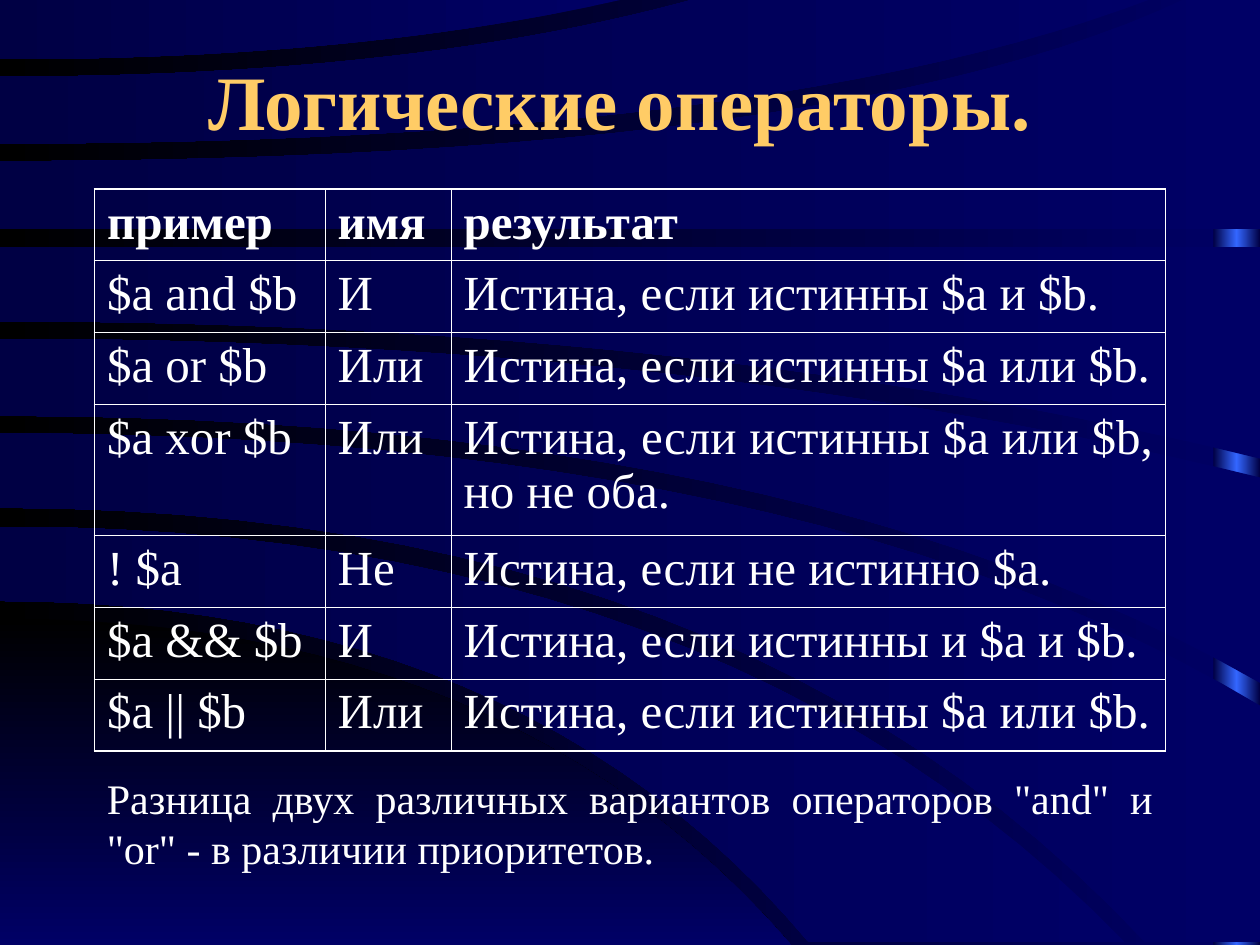
from copy import deepcopy
from lxml.etree import SubElement
from pptx import Presentation
from pptx.dml.color import RGBColor
from pptx.enum.shapes import MSO_SHAPE
from pptx.enum.text import MSO_ANCHOR, PP_ALIGN
from pptx.oxml.ns import qn
from pptx.util import Inches, Pt

NAVY = RGBColor(0x00, 0x00, 0x66)
DARK_NAVY = RGBColor(0x00, 0x00, 0x44)
BLACK = RGBColor(0x00, 0x00, 0x00)
BLUE = RGBColor(0x33, 0x66, 0xFF)
GOLD = RGBColor(0xFF, 0xCC, 0x66)
WHITE = RGBColor(0xFF, 0xFF, 0xFF)
FONT = "Times New Roman"


def set_gradient(fill, start, end, angle=180):
    fill.gradient()
    fill.gradient_angle = angle
    for stop, color in zip(fill.gradient_stops, (start, end)):
        stop.color.rgb = color


def add_text(para, text, size, color, align, bold=False):
    para.alignment = align
    span = para.add_run()
    span.text = text
    span.font.name = FONT
    span.font.size = Pt(size)
    span.font.bold = bold
    span.font.color.rgb = color


deck = Presentation()
deck.slide_width, deck.slide_height = Inches(10), Inches(7.5)
page = deck.slides.add_slide(deck.slide_layouts[5])
set_gradient(page.background.fill, NAVY, BLACK)

# Backdrop, kept behind the title
backdrop = page.shapes.add_group_shape()
page.shapes.element.insert(2, backdrop.element)

# Shining strip on the right edge: a third stop goes in the middle
strip = backdrop.shapes.add_shape(
    MSO_SHAPE.RECTANGLE, Inches(9.63), 0, Inches(0.37), Inches(7.5))
strip.shadow.inherit = False
strip.line.fill.background()
set_gradient(strip.fill, DARK_NAVY, DARK_NAVY)
first_stop = strip.element.spPr.find(".//" + qn("a:gs"))
first_stop.addnext(deepcopy(first_stop))
middle_stop = strip.fill.gradient_stops[1]
middle_stop.position = 0.5
middle_stop.color.rgb = BLUE

# Bands: upper edge, right corner if any, lower edge.
# An edge leaves the left side level: start y, bend x, end x, end y.
CORNER = ((4.91, 4.05, 6.28, 7.5), [], (7.5, 3, 6.28, 7.5))
BANDS = [
    CORNER,
    ((4.18, 5.74, 8.93, 7.48), [], (4.77, 4.15, 6.42, 7.48)),
    ((3.44, 6.4, 10, 5.6), [(10, 7.48)], (4.03, 5.88, 9.09, 7.48)),
    ((2.69, 5.54, 10, 3.79), [], (3.3, 6.3, 10, 5.42)),
    ((1.96, 5, 10, 1.96), [], (2.55, 5.6, 10, 3.64)),
    ((1.28, 6.72, 9.43, -0.02), [(10, -0.02)], (1.82, 5, 10, 1.82)),
    ((0.61, 3.32, 5.56, -0.02), [], (1.14, 6.15, 9.17, -0.02)),
    ((-0.02, 2.5, 5.01, -0.02), [], (0.47, 2.9, 5.01, -0.02)),
]
STEPS = 24
for upper, corner, lower in BANDS:
    edges = []
    for start_y, bend_x, end_x, end_y in (upper, lower):
        ratios = [step / STEPS for step in range(STEPS + 1)]
        edges.append([(2 * t * (1 - t) * bend_x + t * t * end_x,
                       start_y + t * t * (end_y - start_y)) for t in ratios])
    outline = edges[0] + corner + edges[1][::-1]
    points = [(Inches(x), Inches(y)) for x, y in outline]
    builder = backdrop.shapes.build_freeform(*points[0])
    builder.add_line_segments(points[1:], close=True)
    band = builder.convert_to_shape()
    band.shadow.inherit = False
    band.line.fill.background()
    if upper is CORNER[0]:
        set_gradient(band.fill, BLACK, NAVY, angle=270)
    else:
        set_gradient(band.fill, NAVY, DARK_NAVY)

# Title
title = page.shapes.title
title.left, title.top = Inches(0.75), Inches(0.17)
title.width, title.height = Inches(8.5), Inches(1.25)
title.text_frame.vertical_anchor = MSO_ANCHOR.MIDDLE
add_text(title.text_frame.paragraphs[0], "Логические операторы. ", 44, GOLD,
         PP_ALIGN.CENTER, bold=True)

# Table of operators
ROWS = [
    ("пример", "имя", "результат"),
    ("$a and $b", "И", "Истина, если истинны $a и $b."),
    ("$a or $b", "Или", "Истина, если истинны $a или $b."),
    ("$a xor $b", "Или", "Истина, если истинны $a или $b, но не оба."),
    ("! $a", "Не", "Истина, если не истинно $a."),
    ("$a && $b", "И", "Истина, если истинны и $a и $b."),
    ("$a || $b", "Или", "Истина, если истинны $a или $b."),
]
LAST_ROW, LAST_COLUMN = len(ROWS) - 1, 2
table = page.shapes.add_table(len(ROWS), 3, Inches(0.75), Inches(1.5),
                              Inches(8.5), Inches(4.46)).table
table.first_row = table.horz_banding = False
for column, width in zip(table.columns, (1.83, 1, 5.67)):
    column.width = Inches(width)
for r, texts in enumerate(ROWS):
    table.rows[r].height = Inches(1.04 if r == 3 else 0.57)
    for c, text in enumerate(texts):
        cell = table.cell(r, c)
        cell.fill.background()
        left_aligned = c == LAST_COLUMN and r in (0, 4)
        add_text(cell.text_frame.paragraphs[0], text, 28, WHITE,
                 PP_ALIGN.LEFT if left_aligned else PP_ALIGN.JUSTIFY, bold=r == 0)
        # Thicker lines on the outer edges; borders stand before the fill
        cell_properties = cell._tc.get_or_add_tcPr()
        sides = {"a:lnL": c == 0, "a:lnR": c == LAST_COLUMN,
                 "a:lnT": r == 0, "a:lnB": r == LAST_ROW}
        for position, (tag, is_outer) in enumerate(sides.items()):
            border = SubElement(cell_properties, qn(tag),
                                w=str(Pt(1.08 if is_outer else 0.45)))
            paint = SubElement(border, qn("a:solidFill"))
            SubElement(paint, qn("a:srgbClr"), val=str(WHITE))
            cell_properties.insert(position, border)

# Note under the table
box = page.shapes.add_textbox(Inches(0.75), Inches(6.08), Inches(8.5), Inches(0.9))
box.text_frame.word_wrap = True
add_text(box.text_frame.paragraphs[0],
         'Разница двух различных вариантов операторов "and" и "or" - '
         'в различии приоритетов.', 24, WHITE, PP_ALIGN.JUSTIFY)

deck.save("out.pptx")
